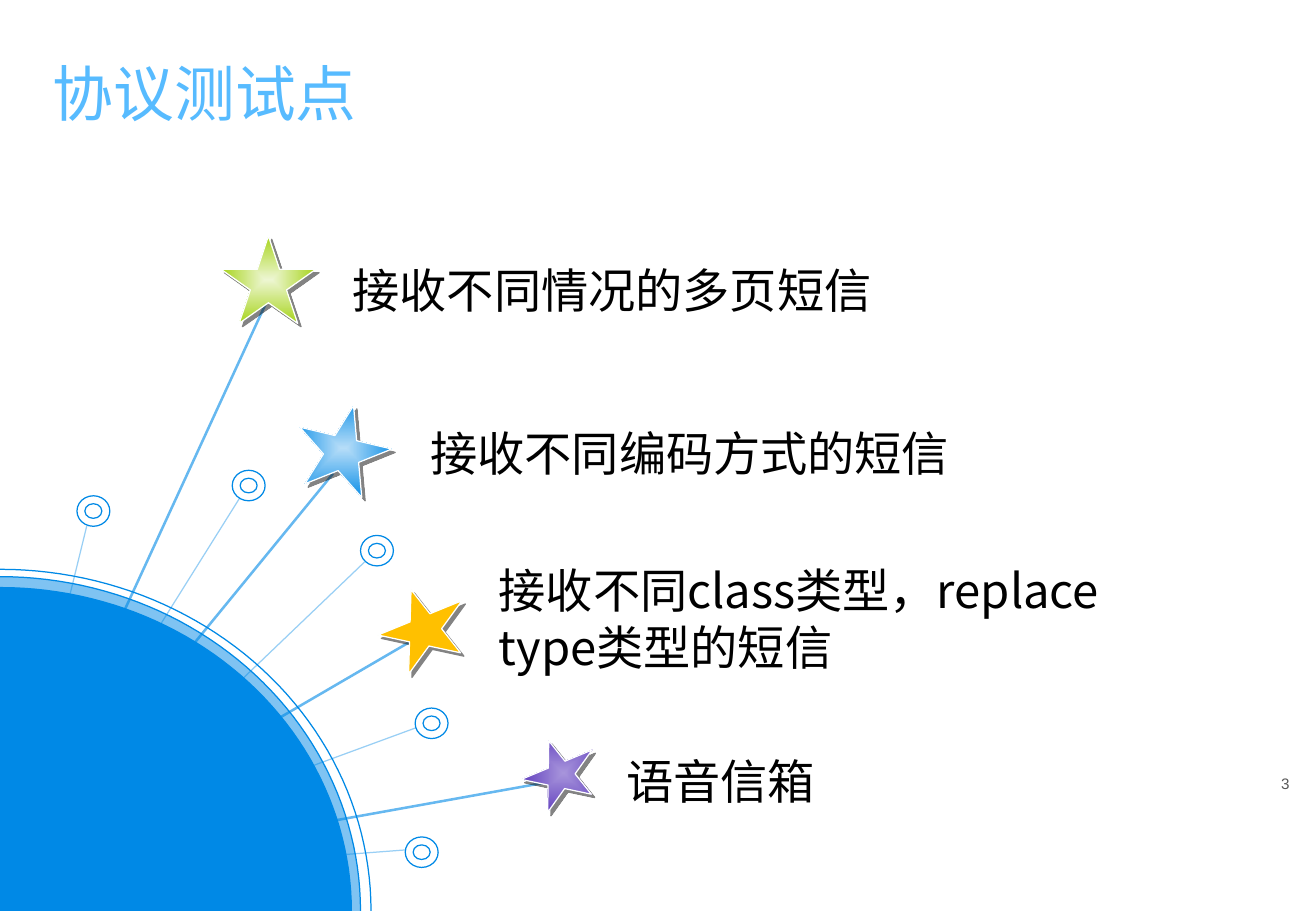
import math

from lxml import etree
from pptx import Presentation
from pptx import util as u
from pptx.dml.color import RGBColor
from pptx.enum import shapes, text
from pptx.oxml.ns import qn

WIDTH, HEIGHT = u.Inches(10.84), u.Inches(7.5)
BLUE, WHITE, CJK = "0089E6", "FFFFFF", "Noto Sans CJK SC"
HUB = (0, 96.67)
FRAME = {"word_wrap": True, "vertical_anchor": text.MSO_ANCHOR.TOP}
BODY = {"name": CJK, "size": u.Pt(28)}

RINGS = [
    ((30.8, 93.3), (32.05, 93.55)),
    ((6.6, 57.7), (7.1, 56.1)),
    ((18.2, 54.7), (18.9, 53.3)),
    ((31.6, 79.9), (32.8, 79.4)),
]
UPPER_RING = ((27.7, 61.7), (28.65, 60.45))
STARS = [
    ((20.4, 32.7), (20.4, 30.7), (7.2, 9.6), 0, ("EDF6D2", "A7D41C")),
    ((25.3, 52), (26.1, 49.2), (7.2, 9.6), 13.4, ("B6DDF8", BLUE)),
    ((31.1, 70.5), (32.5, 68.9), (6.1, 9.6), 51.9, ("FFC000",)),
    ((42.25, 85.7), (42.8, 84.85), (5.2, 8.1), 51.4, ("A794DB", "522DB8")),
]
TOPICS = [
    ("接收不同情况的多页短信", (25.9, 27.9, 48.1, 7.6)),
    ("接收不同编码方式的短信", (31.8, 45.9, 44.9, 7.6)),
    ("接收不同class类型，replace type类型的短信", (37, 60.9, 54, 13.9)),
    ("语音信箱", (46.7, 81.9, 30.1, 7.6)),
]


def place(x, y):
    """Turn percentages of the slide into lengths."""
    return int(WIDTH * x / 100), int(HEIGHT * y / 100)


def centred(centre, size):
    """Give left, top, width and height around a centre."""
    (cx, cy), (w, h) = centre, size
    return *place(cx - w / 2, cy - h / 2), *place(w, h)


def colour(value):
    """Turn a hex string into a colour."""
    return RGBColor.from_string(value)


def apply(obj, values):
    """Set attributes from a dict of format values."""
    for name, value in values.items():
        setattr(obj, name, value)


def add(parent, tag, **attrs):
    """Append a drawing element with attributes."""
    return etree.SubElement(parent, qn(tag), {k: str(v) for k, v in attrs.items()})


def fade(sp, percent):
    """Set the opacity of the first colour of a shape."""
    add(sp._element.spPr.find(".//" + qn("a:srgbClr")), "a:alpha", val=percent * 1000)


def outline(line, value, width=0.75):
    """Give a line its colour and width."""
    line.color.rgb = colour(value)
    line.width = u.Pt(width)


def solid(sp, value, opacity=100):
    """Fill a shape with one colour and no shadow."""
    sp.shadow.inherit = False
    sp.fill.solid()
    sp.fill.fore_color.rgb = colour(value)
    fade(sp, opacity)


def add_spoke(slide, start, end=HUB, width=0.75, opacity=40):
    """Draw a translucent line towards the hub."""
    sp = slide.shapes.add_connector(
        shapes.MSO_CONNECTOR.STRAIGHT, *place(*start), *place(*end))
    outline(sp.line, BLUE, width)
    fade(sp, opacity)
    add(sp._element.spPr, "a:effectLst")


def add_outline(slide, points, closed):
    """Draw a freeform through slide positions."""
    builder = slide.shapes.build_freeform(*points[0])
    builder.add_line_segments(points[1:], close=closed)
    sp = builder.convert_to_shape()
    sp.shadow.inherit = False
    return sp


def add_quarter(slide, rx, ry, opacity=0, steps=48):
    """Draw a quarter arc in the lower left corner, filled if opaque."""
    angles = [math.pi / 2 * i / steps for i in range(steps + 1)]
    arc = [place(rx * math.sin(a), 100 - ry * math.cos(a)) for a in angles]
    if opacity:
        disc = add_outline(slide, arc + [place(0, 100)], True)
        solid(disc, BLUE, opacity)
        disc.line.fill.background()
    edge = add_outline(slide, arc, False)
    edge.fill.background()
    outline(edge.line, BLUE)


def add_ring(slide, centre):
    """Draw a small double ring."""
    sp = slide.shapes.add_shape(
        shapes.MSO_SHAPE.DONUT, *centred(centre, (2.5, 3.35)))
    sp.adjustments[0] = 0.26
    solid(sp, WHITE, 60)
    outline(sp.line, BLUE)


def add_star(slide, centre, size, rotation, colours):
    """Draw a star with a hard shadow and a plain or radiating fill."""
    sp = slide.shapes.add_shape(
        shapes.MSO_SHAPE.STAR_5_POINT, *centred(centre, size))
    sp.rotation = rotation
    solid(sp, colours[0])
    spPr = sp._element.spPr
    if len(colours) > 1:
        sp.fill.gradient()
        for stop, position, value in zip(sp.fill.gradient_stops, (0, 1), colours):
            stop.position = position
            stop.color.rgb = colour(value)
        grad = spPr.find(qn("a:gradFill"))
        grad.remove(grad.find(qn("a:lin")))
        radial = add(grad, "a:path", path="rect")
        add(radial, "a:fillToRect", l=50000, t=50000, r=50000, b=50000)
    outline(sp.line, "FEFFFF")
    shadow = add(spPr.find(qn("a:effectLst")), "a:outerShdw", blurRad=0,
                 dist=u.Pt(2.8), dir=2700000, algn="ctr", rotWithShape=0)
    add(add(shadow, "a:srgbClr", val="080808"), "a:alpha", val=50000)


def write(sp, words, font, value, frame=FRAME, **paragraph):
    """Write one formatted paragraph into a shape."""
    tf = sp.text_frame
    apply(tf, frame)
    p = tf.paragraphs[0]
    apply(p, paragraph)
    r = p.add_run()
    r.text = words
    apply(r.font, font)
    r.font.color.rgb = colour(value)
    add(r._r.get_or_add_rPr(), "a:ea", typeface=font["name"])


def add_label(slide, words, box, font, value, **paragraph):
    """Add a text box at a share of the slide."""
    sp = slide.shapes.add_textbox(*place(*box[:2]), *place(*box[2:]))
    write(sp, words, font, value, **paragraph)


def add_title(slide, words):
    """Move and format the title placeholder."""
    sp = slide.shapes.title
    (left, top), (width, height) = place(3.1, 6.9), place(91.8, 7.9)
    apply(sp, {"left": left, "top": top, "width": width, "height": height})
    write(sp, words, {"name": CJK, "size": u.Pt(36)}, "57BBFF",
          {"word_wrap": True, "vertical_anchor": text.MSO_ANCHOR.BOTTOM},
          alignment=text.PP_ALIGN.LEFT, line_spacing=u.Pt(34))


def main():
    """Build the slide and save it."""
    prs = Presentation()
    apply(prs, {"slide_width": WIDTH, "slide_height": HEIGHT})
    slide = prs.slides.add_slide(prs.slide_layouts[5])
    add_title(slide, "协议测试点")
    add_label(slide, "3", (91.8, 84.3, 7.1, 3.3),
              {"name": "Arial", "size": u.Pt(9)}, "595959",
              alignment=text.PP_ALIGN.RIGHT)
    add_quarter(slide, 28.2, 37.5)
    for start, _ in RINGS:
        add_spoke(slide, start)
    for start, *_ in STARS:
        add_spoke(slide, start, width=1.5, opacity=60)
    add_quarter(slide, 27.4, 36.7, 50)
    add_spoke(slide, UPPER_RING[0], (0, 100))
    add_quarter(slide, 26.7, 35.5, 100)
    for _, centre in RINGS + [UPPER_RING]:
        add_ring(slide, centre)
    for _, *star in STARS:
        add_star(slide, *star)
    for words, box in TOPICS:
        add_label(slide, words, box, BODY, "000000", line_spacing=u.Pt(34))
    prs.save("out.pptx")


if __name__ == "__main__":
    main()
